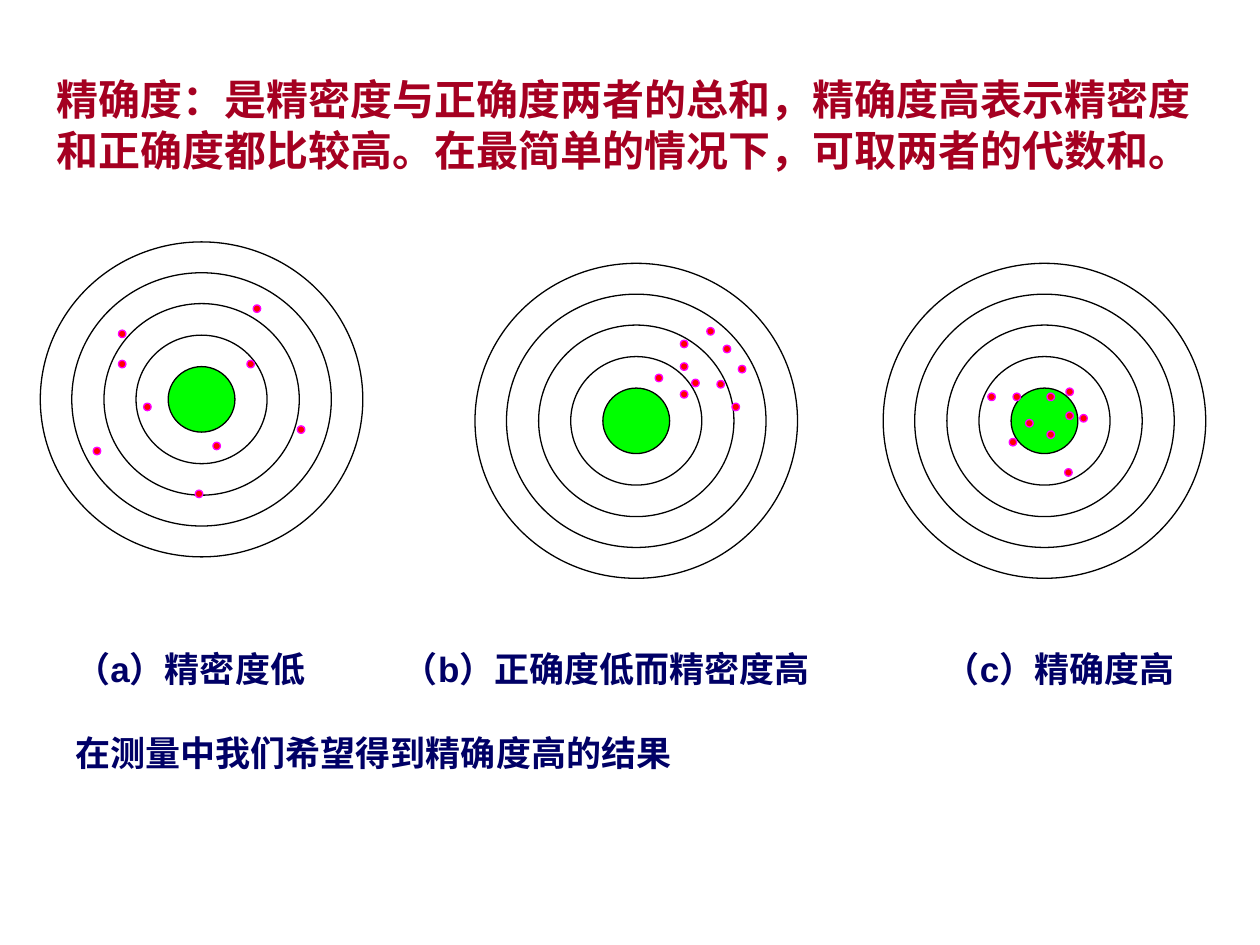
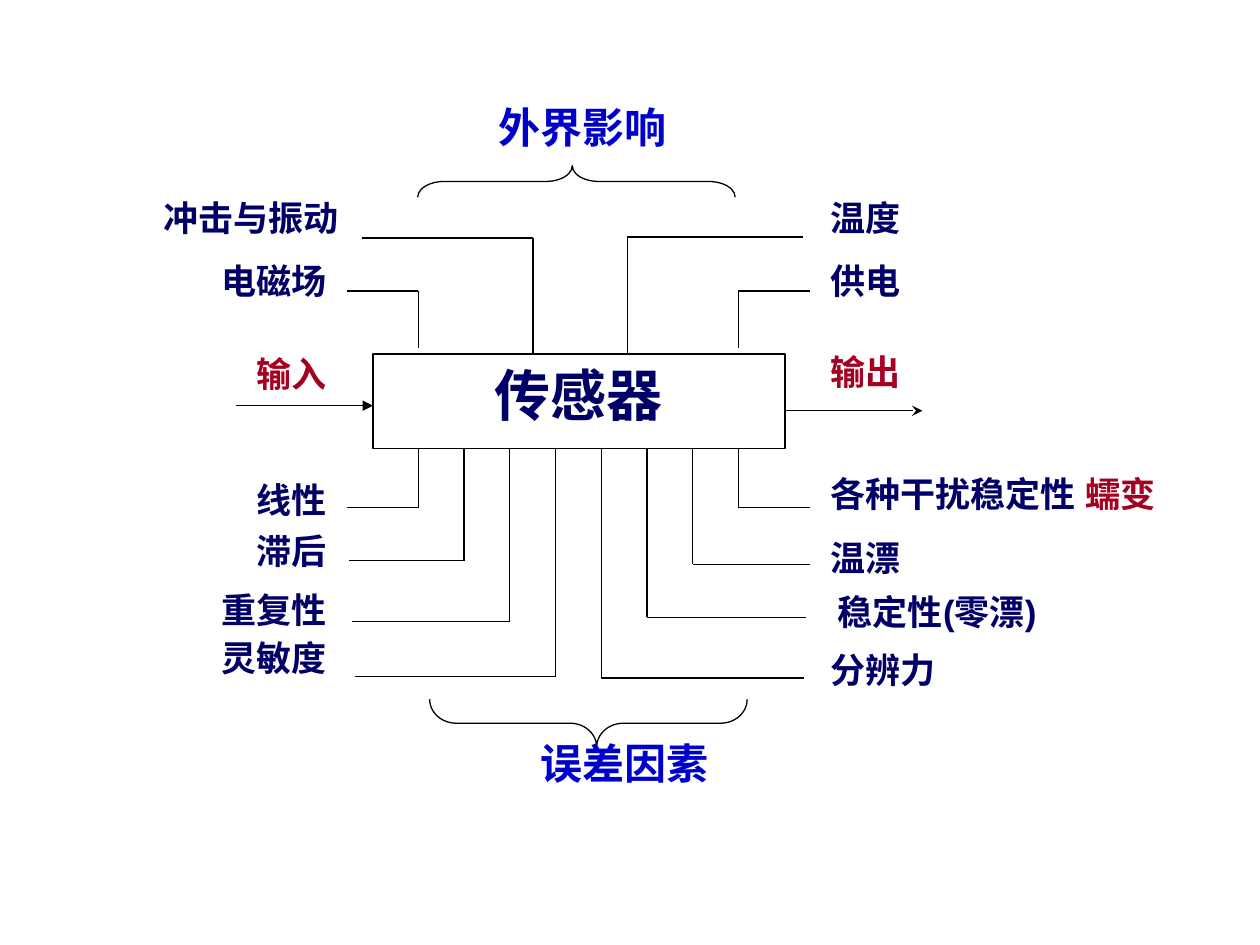
from lxml import etree
from pptx import Presentation
from pptx.dml.color import RGBColor
from pptx.enum.shapes import MSO_CONNECTOR, MSO_SHAPE
from pptx.enum.text import MSO_ANCHOR, MSO_AUTO_SIZE, PP_ALIGN
from pptx.oxml.ns import qn
from pptx.util import Inches, Pt

LEFT, CENTER, RIGHT = PP_ALIGN.LEFT, PP_ALIGN.CENTER, PP_ALIGN.RIGHT
TOP, MIDDLE = MSO_ANCHOR.TOP, MSO_ANCHOR.MIDDLE
NO_AUTOFIT = MSO_AUTO_SIZE.NONE
STRAIGHT = MSO_CONNECTOR.STRAIGHT
OVAL, RECT, BRACE = MSO_SHAPE.OVAL, MSO_SHAPE.RECTANGLE, MSO_SHAPE.RIGHT_BRACE

FONT = "Arial"
NAVY, CRIMSON, BLUE = "000066", "A50021", "0000CC"
BLACK, WHITE, GREEN, RED, MAGENTA = "000000", "FFFFFF", "00FF00", "FF0000", "FF00FF"
LINE_WIDTH = Pt(0.75)
TITLE_ONLY, BLANK = 5, 6

RING_SIZES = [(0.53, 0.52), (1.04, 1.02), (1.55, 1.52), (2.06, 2.01), (2.56, 2.5)]
HIT_SIZE = 0.06
# Centre of each target, then the top left corners of its hits
TARGETS = [
    ((1.6, 3.17), [(1.69, 3.51), (1.14, 3.2), (1.96, 2.86), (0.94, 2.86), (1.55, 3.89),
                   (2.36, 3.38), (2.01, 2.42), (0.94, 2.62), (0.74, 3.55)]),
    ((5.05, 3.34), [(5.4, 3.1), (5.2, 2.97), (5.4, 2.88), (5.49, 3.01), (5.4, 2.7),
                    (5.69, 3.02), (5.61, 2.6), (5.74, 2.74), (5.86, 2.9), (5.81, 3.2)]),
    ((8.29, 3.34), [(8.31, 3.42), (8.14, 3.33), (8.31, 3.12), (8.46, 3.27), (8.46, 3.08),
                    (8.57, 3.29), (8.04, 3.12), (8.01, 3.48), (8.45, 3.72), (7.84, 3.12)]),
]
CAPTIONS = [
    ("（a）精密度低", 0.5, 5.09, 2.5),
    ("（b）正确度低而精密度高", 3.1, 5.09, 4),
    ("（c）精确度高", 7.4, 5.09, 2.6),
    ("在测量中我们希望得到精确度高的结果", 0.5, 5.76, 9),
]

SENSOR_TOP, SENSOR_BOTTOM = 2.81, 3.56
FIRST_DROP, DROP_STEP, DROP_COUNT = 3.32, 0.363, 8
# Leader x, its end at the box, its turn, its outer end
INFLUENCE_LEADERS = [
    (4.23, SENSOR_TOP, 1.89, 2.87), (4.98, SENSOR_TOP, 1.88, 6.37),
    (3.32, 2.76, 2.31, 2.75), (5.86, 2.76, 2.31, 6.43),
]
# Turn and outer end of each error leader, outermost first
LEFT_ERRORS = [(4.03, 2.75), (4.45, 2.77), (4.93, 2.79), (5.37, 2.82)]
RIGHT_ERRORS = [(4.03, 6.43), (4.48, 6.43), (4.9, 6.4), (5.38, 6.38)]
# Text, right edge, top, colour
LEFT_LABELS = [
    ("冲击与振动", 2.69, 1.56, NAVY), ("电磁场", 2.59, 2.06, NAVY),
    ("输入", 2.59, 2.8, CRIMSON), ("线性", 2.59, 3.8, NAVY),
    ("滞后", 2.59, 4.2, NAVY), ("重复性", 2.59, 4.67, NAVY),
    ("灵敏度", 2.59, 5.05, NAVY),
]
# Text, left edge, top, colour
RIGHT_LABELS = [
    ("温度", 6.59, 1.56, NAVY), ("供电", 6.59, 2.06, NAVY),
    ("输出", 6.59, 2.78, CRIMSON), ("各种干扰稳定性 ", 6.59, 3.75, NAVY),
    ("温漂", 6.59, 4.26, NAVY), ("稳定性(零漂)", 6.65, 4.69, NAVY),
    ("分辨力", 6.59, 5.15, NAVY),
]


def rgb(value):
    return RGBColor.from_string(value)


class Deck:
    """Shared style together with the slide being drawn."""

    def __init__(self):
        self.prs = Presentation()
        self.prs.slide_width, self.prs.slide_height = Inches(10), Inches(7.5)
        self.slide = None

    def new_slide(self, layout):
        self.slide = self.prs.slides.add_slide(self.prs.slide_layouts[layout])

    def style_run(self, run, size, color):
        font = run.font
        font.name, font.size, font.bold = FONT, Pt(size), True
        font.color.rgb = rgb(color)
        east_asian = etree.SubElement(run.font._element, qn("a:ea"))
        east_asian.set("typeface", FONT)

    def fill_text(self, frame, text, size, color, align, anchor=TOP):
        frame.word_wrap, frame.auto_size = True, NO_AUTOFIT
        frame.vertical_anchor = anchor
        paragraph = frame.paragraphs[0]
        paragraph.text, paragraph.alignment = text, align
        self.style_run(paragraph.runs[0], size, color)

    def title(self, text):
        title = self.slide.shapes.title
        title.left, title.top = Inches(0.35), Inches(0.36)
        title.width, title.height = Inches(9.3), Inches(1.25)
        self.fill_text(title.text_frame, text, 24, CRIMSON, LEFT, MIDDLE)

    def text(self, text, x, y, w, h=0.5, size=20, color=NAVY, align=LEFT, inset=True):
        box = self.slide.shapes.add_textbox(Inches(x), Inches(y), Inches(w), Inches(h))
        frame = box.text_frame
        if not inset:
            frame.margin_left = frame.margin_right = 0
            frame.margin_top = frame.margin_bottom = 0
        self.fill_text(frame, text, size, color, align)
        return frame.paragraphs[0]

    def shape(self, kind, x, y, w, h, fill=None, line=BLACK):
        shape = self.slide.shapes.add_shape(kind, Inches(x), Inches(y), Inches(w), Inches(h))
        shape.shadow.inherit = False
        if fill:
            shape.fill.solid()
            shape.fill.fore_color.rgb = rgb(fill)
        else:
            shape.fill.background()
        shape.line.color.rgb, shape.line.width = rgb(line), LINE_WIDTH
        return shape

    def brace(self, x, y, w, h, rotation, curl, tip):
        brace = self.shape(BRACE, x, y, w, h)
        brace.rotation = rotation
        brace.adjustments[0], brace.adjustments[1] = curl, tip

    def line(self, x1, y1, x2, y2, arrow=None):
        line = self.slide.shapes.add_connector(
            STRAIGHT, Inches(x1), Inches(y1), Inches(x2), Inches(y2))
        line.line.color.rgb, line.line.width = rgb(BLACK), LINE_WIDTH
        if arrow:
            etree.SubElement(line.line._get_or_add_ln(), qn("a:tailEnd")).set("type", arrow)
        etree.SubElement(line._element.spPr, qn("a:effectLst"))

    def leader(self, x, start_y, turn_y, end_x):
        """Draw a vertical line from the sensor and a horizontal one to a label."""
        self.line(x, start_y, x, turn_y)
        self.line(x, turn_y, end_x, turn_y)

    def target(self, center, hits):
        cx, cy = center
        for index, (w, h) in enumerate(RING_SIZES):
            self.shape(OVAL, cx - w / 2, cy - h / 2, w, h, None if index else GREEN)
        for x, y in hits:
            self.shape(OVAL, x, y, HIT_SIZE, HIT_SIZE, RED, MAGENTA)


def accuracy_slide(deck):
    deck.new_slide(TITLE_ONLY)
    deck.title("精确度：是精密度与正确度两者的总和，精确度高表示精密度和正确度都比较高。"
               "在最简单的情况下，可取两者的代数和。")
    for center, hits in TARGETS:
        deck.target(center, hits)
    for caption, x, y, w in CAPTIONS:
        deck.text(caption, x, y, w)


def sensor_slide(deck):
    deck.new_slide(BLANK)
    sensor = deck.shape(RECT, 2.96, SENSOR_TOP, 3.27, SENSOR_BOTTOM - SENSOR_TOP, WHITE)
    deck.fill_text(sensor.text_frame, "传感器", 32, NAVY, CENTER)

    for leader in INFLUENCE_LEADERS:
        deck.leader(*leader)
    for index, (turn_y, end_x) in enumerate(LEFT_ERRORS):
        deck.leader(FIRST_DROP + index * DROP_STEP, SENSOR_BOTTOM, turn_y, end_x)
    for index, (turn_y, end_x) in enumerate(RIGHT_ERRORS):
        drop = DROP_COUNT - 1 - index
        deck.leader(FIRST_DROP + drop * DROP_STEP, SENSOR_BOTTOM, turn_y, end_x)
    deck.line(1.87, 3.22, 2.96, 3.22, "triangle")
    deck.line(6.23, 3.26, 7.32, 3.26, "stealth")

    for label, right, y, color in LEFT_LABELS:
        deck.text(label, right - 2.18, y, 2.18, color=color, align=RIGHT, inset=False)
    for label, x, y, color in RIGHT_LABELS:
        paragraph = deck.text(label, x, y, 2.74, color=color, inset=False)
        if label.startswith("各种干扰"):
            creep = paragraph.add_run()
            creep.text = "蠕变"
            deck.style_run(creep, 20, CRIMSON)

    deck.brace(4.45, 0.18, 0.25, 2.52, 270, 0.84, 0.487)
    deck.brace(4.48, 4.48, 0.38, 2.52, 90, 0.555, 0.474)
    for heading, x, y in [("外界影响", 1.9, 0.76), ("误差因素", 2.23, 5.8)]:
        deck.text(heading, x, y, 5.45, 0.75, 24, BLUE, CENTER)


def main():
    deck = Deck()
    accuracy_slide(deck)
    sensor_slide(deck)
    deck.prs.save("out.pptx")


if __name__ == "__main__":
    main()
